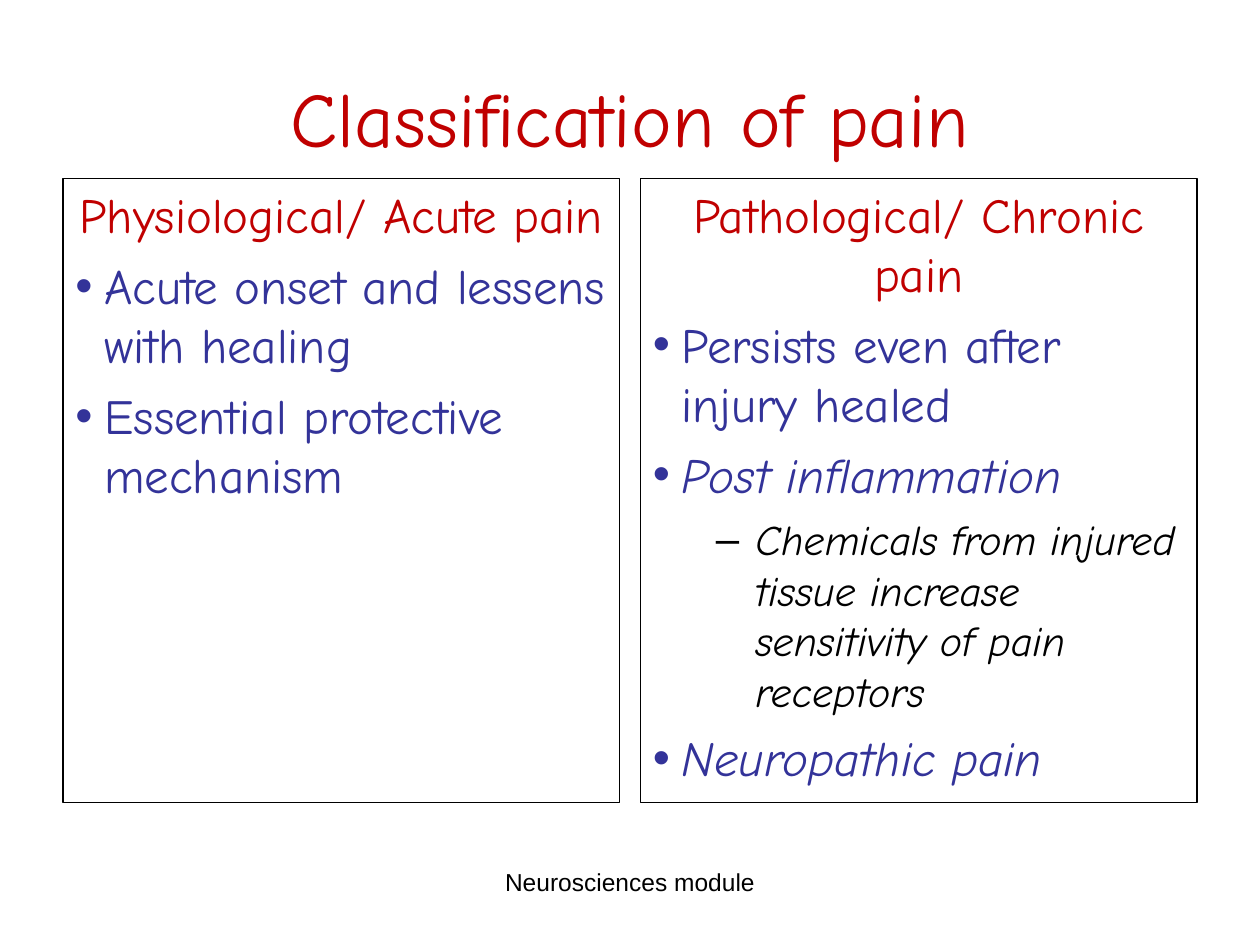
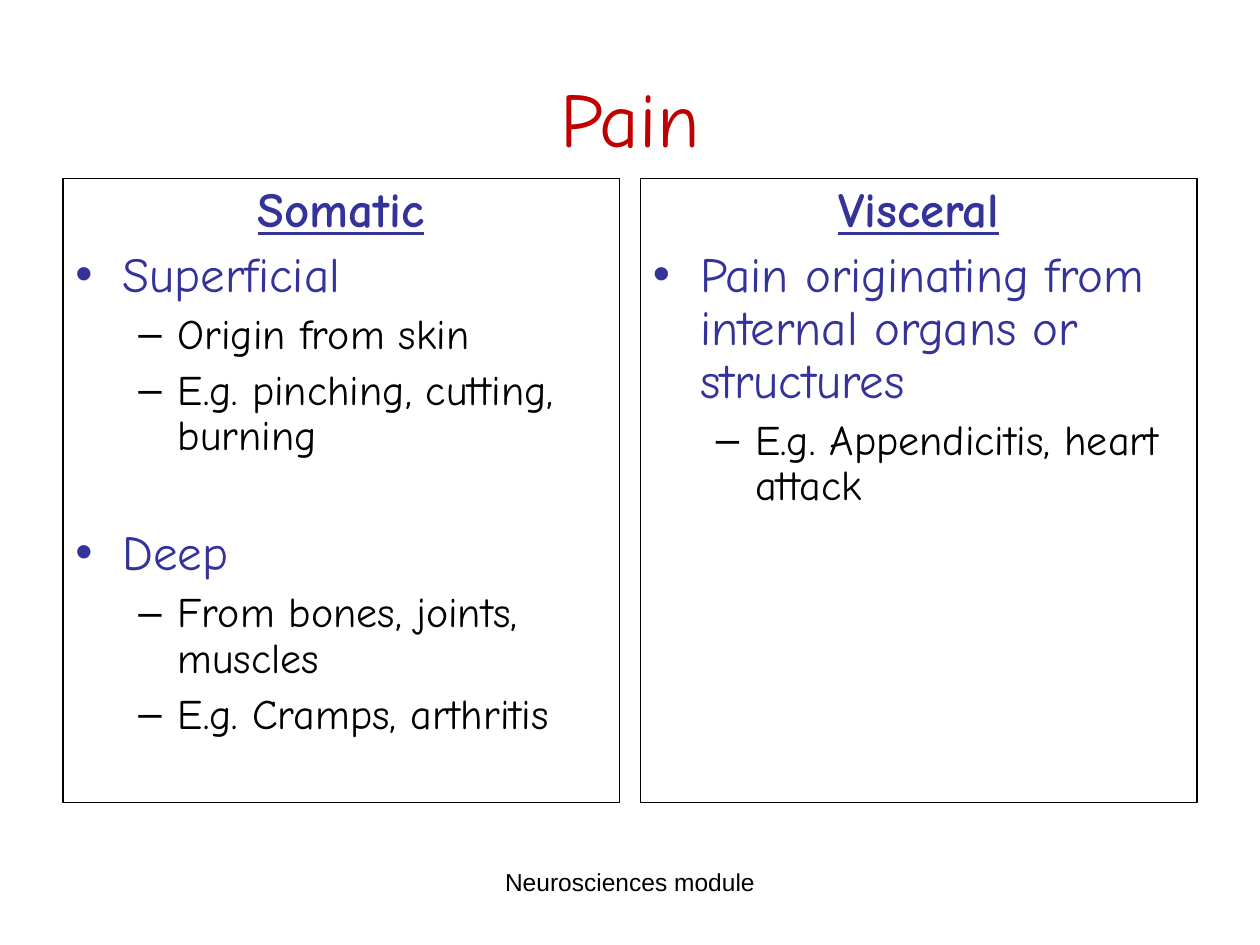
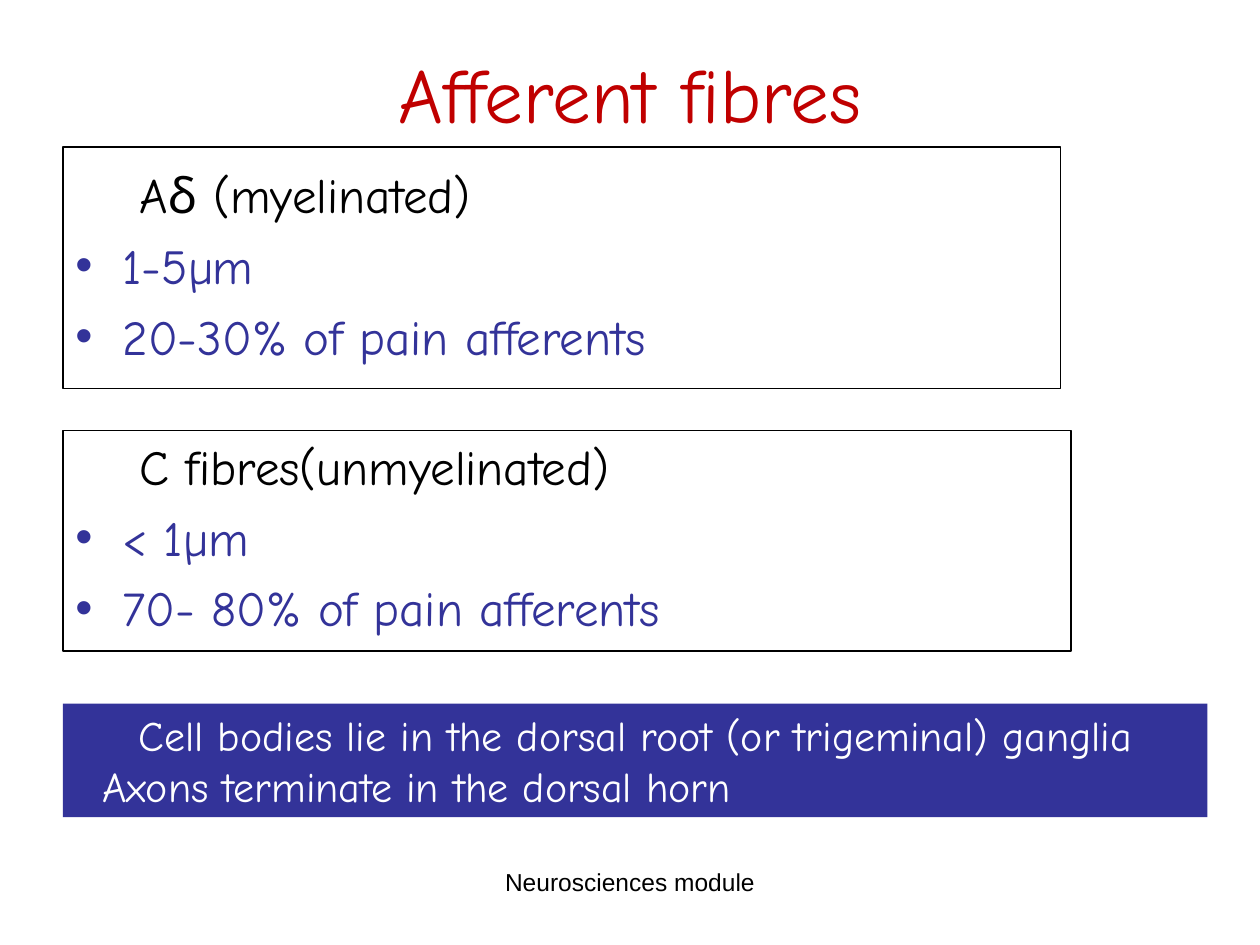
from dataclasses import dataclass, replace

import lxml.etree
import pptx
import pptx.dml.color
import pptx.enum.shapes
import pptx.enum.text
import pptx.oxml.ns
import pptx.util

Pt = pptx.util.Pt
ALIGN = pptx.enum.text.PP_ALIGN
ANCHOR = pptx.enum.text.MSO_ANCHOR


@dataclass(frozen=True)
class Theme:
    red: str = "C00000"
    blue: str = "333399"
    black: str = "000000"
    white: str = "FFFFFF"
    font: str = "Comic Neue"
    plain_font: str = "Arial"
    title_size: int = 44
    main_size: int = 28
    detail_size: int = 24
    footer_size: int = 14
    border: float = 0.75


THEME = Theme()


@dataclass(frozen=True)
class Style:
    """Look of one paragraph; lengths in points."""
    size: int = THEME.main_size
    color: str = THEME.blue
    font: str = THEME.font
    align: ALIGN = ALIGN.LEFT
    margin: float = 0
    hanging: float = 0
    bullet: str = ""
    before: float = 0
    spacing: float = 1.0
    bold: bool = False
    italic: bool = False
    underline: bool = False


@dataclass(frozen=True)
class Box:
    left: float
    top: float
    width: float
    height: float

    def columns(self, count, gap):
        width = (self.width - gap * (count - 1)) / count
        return [Box(self.left + i * (width + gap), self.top, width, self.height)
                for i in range(count)]

    def lengths(self):
        return [Pt(v) for v in (self.left, self.top, self.width, self.height)]


# Paragraph styles
TITLE = Style(THEME.title_size, THEME.red, align=ALIGN.CENTER)
FOOTER = Style(THEME.footer_size, THEME.black, THEME.plain_font, ALIGN.CENTER)
HEADING = Style(color=THEME.red, align=ALIGN.CENTER)
POINT = Style(margin=16.5, hanging=16.5, bullet="•", before=7)
DETAIL = Style(THEME.detail_size, THEME.black, margin=58.5, hanging=22.5,
               bullet="–", before=6)
TIGHT_HEADING = replace(HEADING, color=THEME.blue, spacing=0.9, bold=True,
                        underline=True)
TIGHT_POINT = replace(POINT, margin=27, hanging=27, spacing=0.9)
TIGHT_DETAIL = replace(DETAIL, spacing=0.9)
FIBRE_HEADING = Style(color=THEME.black, margin=36.5)
FIBRE_POINT = replace(TIGHT_POINT, before=0, spacing=1.2)
NOTE = Style(THEME.detail_size, THEME.white)

# Regions
TITLE_BOX = Box(36, 21.6, 648, 90)
BODY_BOX = Box(36, 102, 648, 356.5)
FOOTER_BOX = Box(246, 492, 228, 37.5)
COLUMN_GAP = 12


def rgb(color):
    return pptx.dml.color.RGBColor.from_string(color)


def add_bullet(paragraph, style):
    properties = paragraph._p.get_or_add_pPr()
    qn = pptx.oxml.ns.qn
    color = lxml.etree.SubElement(properties, qn("a:buClr"))
    lxml.etree.SubElement(color, qn("a:srgbClr"), val=style.color)
    lxml.etree.SubElement(properties, qn("a:buFont"), typeface=THEME.plain_font)
    lxml.etree.SubElement(properties, qn("a:buChar"), char=style.bullet)


def write(shape, lines, anchor=ANCHOR.TOP):
    """Fill a shape with (text, style) lines."""
    frame = shape.text_frame
    frame.word_wrap = True
    frame.vertical_anchor = anchor
    for index, (text, style) in enumerate(lines):
        paragraph = frame.add_paragraph() if index else frame.paragraphs[0]
        paragraph.text = text
        properties = paragraph._p.get_or_add_pPr()
        properties.set("marL", str(Pt(style.margin)))
        properties.set("indent", str(-Pt(style.hanging)))
        if style.bullet:
            add_bullet(paragraph, style)
        paragraph.alignment = style.align
        paragraph.line_spacing = style.spacing
        paragraph.space_before = Pt(style.before if index else 0)
        font = paragraph.font
        font.name, font.size = style.font, Pt(style.size)
        font.bold, font.italic = style.bold, style.italic
        font.underline = style.underline
        font.color.rgb = rgb(style.color)


def add_text(slide, box, text, style, anchor=ANCHOR.TOP):
    write(slide.shapes.add_textbox(*box.lengths()), [(text, style)], anchor)


def add_panel(slide, box, lines, fill=None):
    """Outlined text panel, or a filled one without outline."""
    panel = slide.shapes.add_shape(
        pptx.enum.shapes.MSO_SHAPE.RECTANGLE, *box.lengths())
    panel.shadow.inherit = False
    if fill:
        panel.fill.solid()
        panel.fill.fore_color.rgb = rgb(fill)
        panel.line.fill.background()
    else:
        panel.fill.background()
        panel.line.color.rgb = rgb(THEME.black)
        panel.line.width = Pt(THEME.border)
    write(panel, lines)


def add_base_slide(presentation, title, title_box=TITLE_BOX):
    """Blank slide with the shared title and footer."""
    slide = presentation.slides.add_slide(presentation.slide_layouts[6])
    add_text(slide, title_box, title, TITLE, ANCHOR.MIDDLE)
    add_text(slide, FOOTER_BOX, "Neurosciences module", FOOTER)
    return slide


def add_comparison_slide(presentation, title, columns):
    slide = add_base_slide(presentation, title)
    boxes = BODY_BOX.columns(len(columns), COLUMN_GAP)
    for box, lines in zip(boxes, columns):
        add_panel(slide, box, lines)


def add_fibres_slide(presentation):
    slide = add_base_slide(presentation, "Afferent fibres", Box(36, 18, 648, 70))
    left = BODY_BOX.left
    # Fibre types
    add_panel(slide, Box(left, 84, 570, 138), [
        ("Aδ (myelinated)", replace(FIBRE_HEADING, spacing=1.2)),
        ("1-5µm", FIBRE_POINT),
        ("20-30% of pain afferents", FIBRE_POINT),
    ])
    add_panel(slide, Box(left, 246, 576, 126), [
        ("C fibres(unmyelinated)", FIBRE_HEADING),
        ("< 1µm", FIBRE_POINT),
        ("70- 80% of pain afferents", FIBRE_POINT),
    ])
    # Shared anatomy
    add_panel(slide, Box(left, 402, 654, 65), [
        ("Cell bodies lie in the dorsal root (or trigeminal) ganglia",
         replace(NOTE, align=ALIGN.CENTER)),
        ("Axons terminate in the dorsal horn", replace(NOTE, margin=15.5)),
    ], THEME.blue)


def main():
    presentation = pptx.Presentation()
    presentation.slide_width, presentation.slide_height = Pt(720), Pt(540)

    italic_point = replace(POINT, italic=True)
    add_comparison_slide(presentation, "Classification of pain", [
        [("Physiological/ Acute pain", HEADING),
         ("Acute onset and lessens with healing", POINT),
         ("Essential protective mechanism", POINT)],
        [("Pathological/ Chronic pain", HEADING),
         ("Persists even after injury healed", POINT),
         ("Post inflammation", italic_point),
         ("Chemicals from injured tissue increase sensitivity of pain receptors",
          replace(DETAIL, italic=True)),
         ("Neuropathic pain", italic_point)],
    ])
    add_comparison_slide(presentation, "Pain", [
        [("Somatic", TIGHT_HEADING),
         ("Superficial", TIGHT_POINT),
         ("Origin from skin", TIGHT_DETAIL),
         ("E.g. pinching, cutting, burning", TIGHT_DETAIL),
         ("Deep", replace(TIGHT_POINT, before=39)),
         ("From bones, joints, muscles", TIGHT_DETAIL),
         ("E.g. Cramps, arthritis", TIGHT_DETAIL)],
        [("Visceral", TIGHT_HEADING),
         ("Pain originating from internal organs or structures", TIGHT_POINT),
         ("E.g. Appendicitis, heart attack", TIGHT_DETAIL)],
    ])
    add_fibres_slide(presentation)
    presentation.save("out.pptx")


if __name__ == "__main__":
    main()
